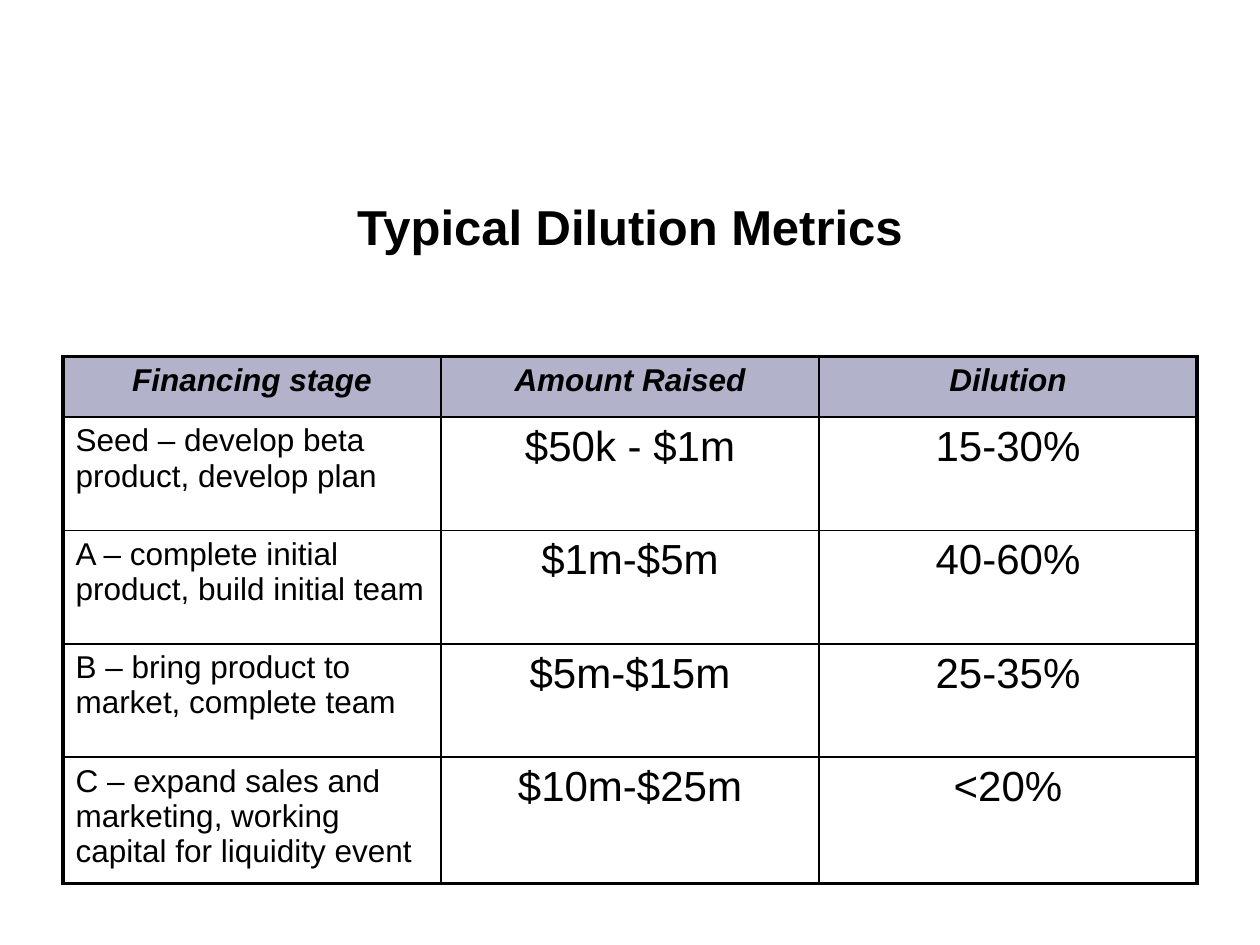
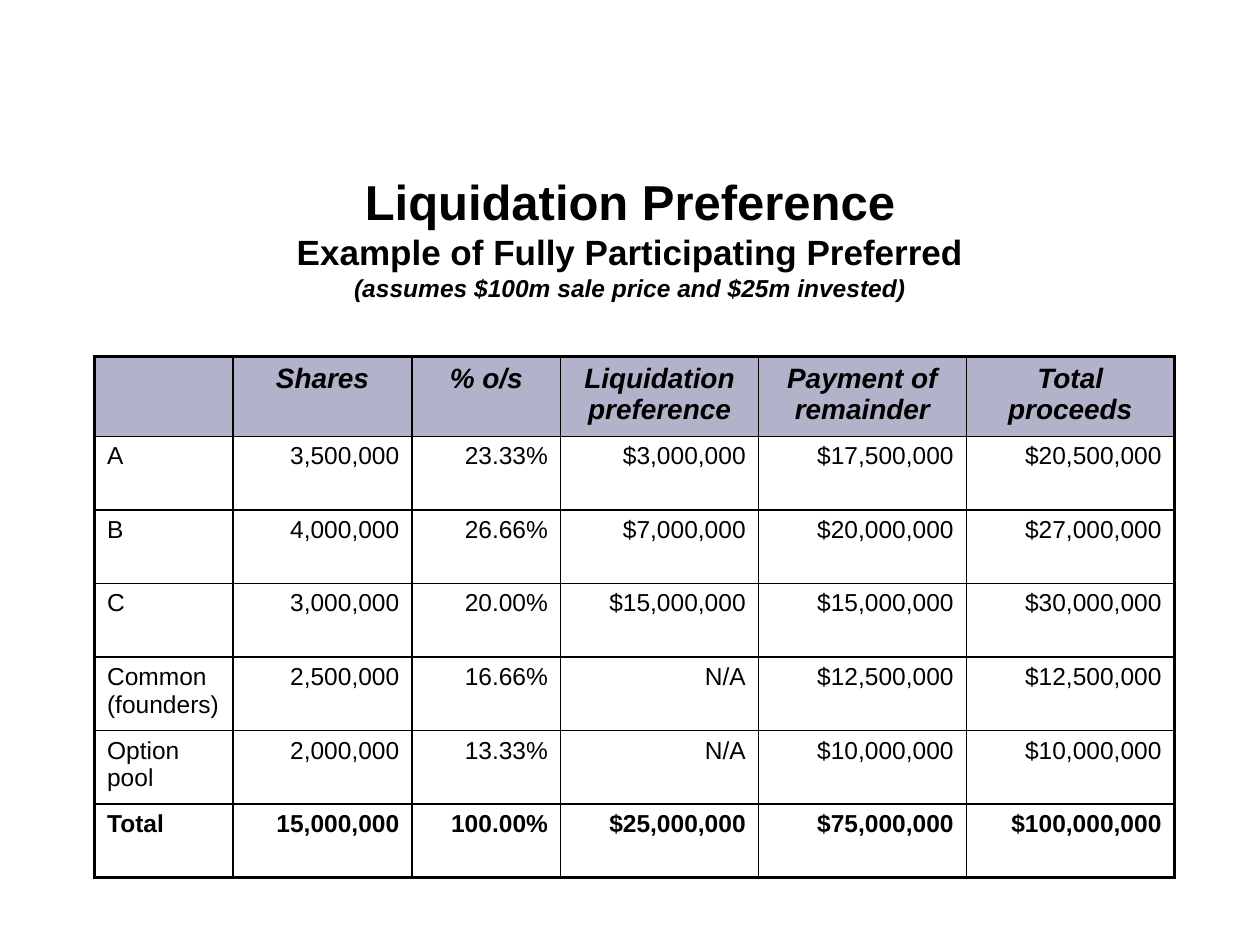
from dataclasses import dataclass

from lxml.etree import SubElement
from pptx import Presentation
from pptx.dml.color import RGBColor as Color
from pptx.enum.text import MSO_ANCHOR as Anchor, PP_ALIGN as Align
from pptx.oxml.ns import qn
from pptx.util import Inches, Pt


@dataclass(frozen=True)
class Theme:
    """Colours, font, type sizes and line widths of the deck."""
    font: str = "Arial"
    ink: str = "000000"
    band: str = "666699"
    band_alpha: int = 50000
    title: int = 28
    subtitle: int = 20
    note: int = 14
    frame: float = 2.25
    rule: float = 1
    space_before: int = 20000


theme = Theme()

deck = Presentation()
deck.slide_width, deck.slide_height = Inches(10), Inches(7.5)
ACROSS = deck.slide_width / 100  # one percent of the slide's width
DOWN = deck.slide_height / 100   # one percent of the slide's height
TABLE_TOP = 37.73


def write(para, text, size, bold=False, italic=False, align=Align.LEFT):
    """Add a formatted span of text to a paragraph."""
    para.alignment = align
    span = para.add_run()
    span.text = text
    font = span.font
    font.name, font.size = theme.font, Pt(size)
    font.bold, font.italic = bold, italic
    font.color.rgb = Color.from_string(theme.ink)


def draw_border(cell, side, weight):
    """Draw one edge of a cell; side is L, R, T or B."""
    line = SubElement(cell._tc.get_or_add_tcPr(), qn("a:ln" + side),
                      w=str(Pt(weight)))
    fill = SubElement(line, qn("a:solidFill"))
    SubElement(fill, qn("a:srgbClr"), val=theme.ink)


# Places and sizes are percentages of the slide.
pages = [
    dict(
        title_top=20, title_height=7.73,
        title=[("Typical Dilution Metrics", theme.title, False)],
        left=5, columns=[30] * 3, rows=[6.4] + [12] * 4,
        sizes=dict(header=18, label=18, value=24),
        value_align=Align.CENTER, has_total=False,
        cells=[
            ["Financing stage", "Amount Raised", "Dilution"],
            ["Seed – develop beta product, develop plan",
             "$50k - $1m", "15-30%"],
            ["A – complete initial product, build initial team",
             "$1m-$5m", "40-60%"],
            ["B – bring product to market, complete team",
             "$5m-$15m", "25-35%"],
            ["C – expand sales and marketing, working capital for "
             "liquidity event", "$10m-$25m", "<20%"],
        ],
    ),
    dict(
        title_top=18.93, title_height=12.27,
        title=[
            ("Liquidation Preference", theme.title, False),
            ("Example of Fully Participating Preferred",
             theme.subtitle, False),
            ("(assumes $100m sale price and $25m invested)",
             theme.note, True),
        ],
        left=7.5, columns=[11, 14.2, 11.8, 15.7, 16.5, 16.5],
        rows=[8] + [7.78] * 6,
        sizes=dict(header=16, label=14, value=14),
        value_align=Align.RIGHT, has_total=True,
        cells=[
            ["", "Shares", "% o/s", "Liquidation preference",
             "Payment of remainder", "Total proceeds"],
            ["A", "3,500,000", "23.33%", "$3,000,000",
             "$17,500,000", "$20,500,000"],
            ["B", "4,000,000", "26.66%", "$7,000,000",
             "$20,000,000", "$27,000,000"],
            ["C", "3,000,000", "20.00%", "$15,000,000",
             "$15,000,000", "$30,000,000"],
            ["Common (founders)", "2,500,000", "16.66%", "N/A",
             "$12,500,000", "$12,500,000"],
            ["Option pool", "2,000,000", "13.33%", "N/A",
             "$10,000,000", "$10,000,000"],
            ["Total", "15,000,000", "100.00%", "$25,000,000",
             "$75,000,000", "$100,000,000"],
        ],
    ),
]

for content in pages:
    page = deck.slides.add_slide(deck.slide_layouts[6])

    # Title, with any further lines in the same paragraph
    box = page.shapes.add_textbox(
        int(5 * ACROSS), int(content["title_top"] * DOWN),
        int(90 * ACROSS), int(content["title_height"] * DOWN))
    box.text_frame.word_wrap = True
    box.text_frame.vertical_anchor = Anchor.MIDDLE
    para = box.text_frame.paragraphs[0]
    for index, (text, size, italic) in enumerate(content["title"]):
        if index:
            para.add_line_break()
        write(para, text, size, bold=True, italic=italic, align=Align.CENTER)

    # Table
    columns, rows = content["columns"], content["rows"]
    last_row, last_column = len(rows) - 1, len(columns) - 1
    table = page.shapes.add_table(
        len(rows), len(columns),
        int(content["left"] * ACROSS), int(TABLE_TOP * DOWN),
        int(sum(columns) * ACROSS), int(sum(rows) * DOWN)).table
    table.first_row = table.horz_banding = False
    for column, share in zip(table.columns, columns):
        column.width = int(share * ACROSS)
    for row, share in zip(table.rows, rows):
        row.height = int(share * DOWN)

    for r, texts in enumerate(content["cells"]):
        is_header = r == 0
        is_total = content["has_total"] and r == last_row
        for c, text in enumerate(texts):
            cell = table.cell(r, c)
            on_frame = dict(L=c == 0, R=c == last_column,
                            T=r == 0, B=r == last_row)
            for side, outer in on_frame.items():
                draw_border(cell, side, theme.frame if outer else theme.rule)

            if is_header:
                cell.fill.solid()
                cell.fill.fore_color.rgb = Color.from_string(theme.band)
                tint = cell._tc.tcPr.find(".//" + qn("a:solidFill") + "[last()]")
                tint = cell._tc.tcPr.find(qn("a:solidFill"))[0]
                SubElement(tint, qn("a:alpha"), val=str(theme.band_alpha))
                role, align = "header", Align.CENTER
            else:
                cell.fill.background()
                role = "value" if c else "label"
                align = content["value_align"] if c else Align.LEFT

            if text:
                para = cell.text_frame.paragraphs[0]
                spacing = SubElement(para._p.get_or_add_pPr(), qn("a:spcBef"))
                SubElement(spacing, qn("a:spcPct"),
                           val=str(theme.space_before))
                write(para, text, content["sizes"][role],
                      bold=is_header or is_total, italic=is_header,
                      align=align)

deck.save("out.pptx")
